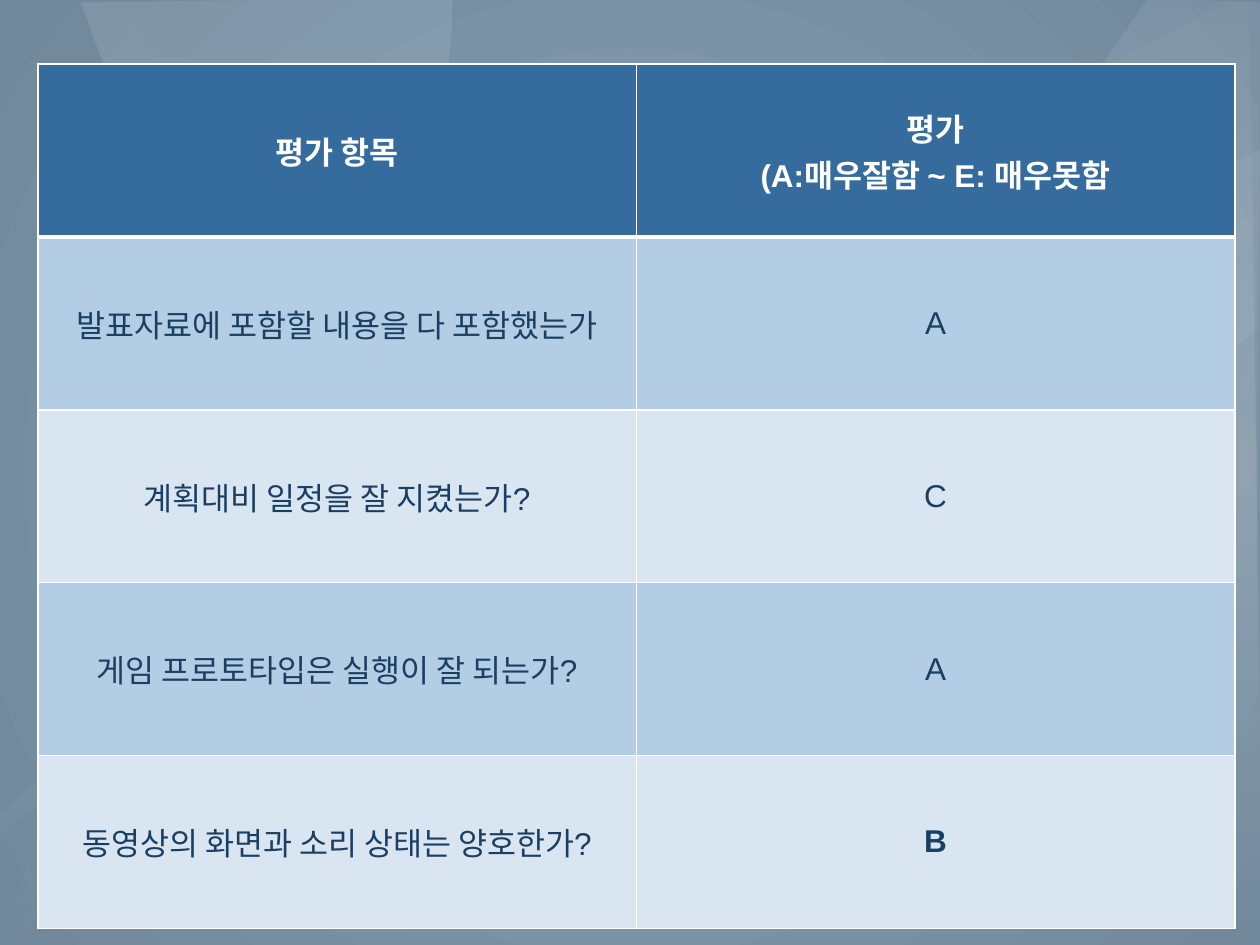
"""Build a peer evaluation slide: a graded table over soft translucent facets."""
import dataclasses

import lxml.etree
import pptx
import pptx.dml.color
import pptx.enum.text
import pptx.oxml
import pptx.oxml.ns
import pptx.util


@dataclasses.dataclass(frozen=True)
class Theme:
    unit: int = pptx.util.Inches(0.1)
    columns: int = 100
    rows: int = 75
    font: str = "Arial"
    size: int = 18
    white: str = "FFFFFF"
    ink: str = "1B3F63"
    header: str = "356B9D"
    bands: tuple = ("B3CDE5", "D9E6F2")
    backdrop: tuple = ((0, "849FB5", 100), (100, "71889B", 100))
    rule: int = 1
    heavy_rule: int = 3


THEME = Theme()

FACETS = [
    ([[(0, 74.4), (4.6, 62.9), (12, 46.9), (20.5, 31.4), (29.5, 17.8), (38.5, 7.2), (47.1, 0)],
      [(100, -0.3), (99.7, 26.1)],
      [(99.7, 26.1), (86.3, 36.8), (69.5, 49.6), (52.3, 61.6), (31.5, 74.6)],
      [(31.5, 74.6), (15.6, 74.7), (2.8, 74.7), (0, 74.4)]],
     [(0, 0), (50, 8), (100, 0)]),
    ([[(-4, 69.3), (4.9, 62.2), (12.6, 54.6), (19, 45.5), (25.1, 35.9), (30.3, 26.3),
       (33.7, 15.7), (35.4, 6), (35.9, -0.2)],
      [(6.4, 0.2), (9.7, 9.8), (12.2, 21.1), (13.2, 31.8), (12.7, 40.1), (10.9, 48.4),
       (7.2, 56.2), (3.1, 61.6), (-1, 65.3), (-3.8, 67.2)]],
     [(0, 8), (50, 15), (100, 0)]),
    ([[(99.2, -0.8), (87.3, 5.7), (76.5, 12.5), (65.8, 20.3), (54.7, 29.8), (44, 40.8),
       (35.9, 51.4), (29.3, 62.9), (25.2, 74.8)],
      [(100.3, 74.2), (99.2, -0.8)]],
     [(0, 1), (50, 14), (100, 0)]),
    ([[(10.2, 0), (15.8, 12.2), (22.4, 27.8), (28.9, 46), (32.6, 59.6), (34.3, 69.3), (34.5, 74.2)],
      [(0, 75), (4.9, 68.7), (10.1, 58.9), (13.5, 46.4), (14.8, 34), (14.1, 25.2),
       (11.6, 13.8), (6.9, 1.2)]],
     [(0, 0), (50, 5), (100, 0)]),
    ([[(66, 74.6), (67.1, 65.1), (69.7, 50.9), (73.5, 36.3), (78.5, 22.3), (84.4, 10), (91, 0)],
      [(100.1, 0.2), (100.5, 75)]],
     [(10, 7), (100, 0)]),
    ([[(99.5, 50.3), (86, 55.7), (71.9, 60.5), (55.6, 65.1), (46.8, 68.4), (41.3, 71.2), (38.4, 73.6)],
      [(32.8, 75), (38.8, 66.2), (46.9, 55.7), (56.9, 44.5), (67.7, 34), (78.6, 25), (90.7, 16.9), (100, 11.8)]],
     [(0, 6), (100, 0)]),
]

HEADINGS = ["평가 항목", "평가\n(A:매우잘함 ~ E: 매우못함"]
RATINGS = [
    ["발표자료에 포함할 내용을 다 포함했는가", "A"],
    ["계획대비 일정을 잘 지켰는가?", "C"],
    ["게임 프로토타입은 실행이 잘 되는가?", "A"],
    ["동영상의 화면과 소리 상태는 양호한가?", "B"],
]


def apply(target, values):
    """Set each named attribute of the target."""
    for name, value in values.items():
        setattr(target, name, value)


def smooth(knots, steps=4):
    """Return points on a Catmull-Rom curve through the knots."""
    padded = [knots[0], *knots, knots[-1]]
    points = [knots[0]]
    for a, b, c, d in zip(padded, padded[1:], padded[2:], padded[3:]):
        for t in (step / steps for step in range(1, steps + 1)):
            points.append(tuple(
                0.5 * (2 * q + (r - p) * t + (2 * p - 5 * q + 4 * r - s) * t ** 2
                       + (3 * q - p - 3 * r + s) * t ** 3)
                for p, q, r, s in zip(a, b, c, d)))
    return points


def paint_gradient(owner, stops, direction):
    """Give the owner's gradient its stops and its direction."""
    gradient = owner.element.find(".//" + pptx.oxml.ns.qn("a:gradFill"))
    for child in list(gradient):
        gradient.remove(child)
    marks = "".join(
        f'<a:gs pos="{place * 1000}"><a:srgbClr val="{color}">'
        f'<a:alpha val="{opacity * 1000}"/></a:srgbClr></a:gs>'
        for place, color, opacity in stops)
    names = pptx.oxml.ns.nsdecls("a")
    gradient.append(pptx.oxml.parse_xml(f"<a:gsLst {names}>{marks}</a:gsLst>"))
    gradient.append(pptx.oxml.parse_xml(direction.format(names=names)))


def paint_backdrop(page):
    """Fill the page with a gradient that spreads from its centre."""
    page.background.fill.gradient()
    paint_gradient(page, THEME.backdrop, (
        '<a:path {names} path="circle">'
        '<a:fillToRect l="50000" t="50000" r="50000" b="50000"/></a:path>'))


def add_facet(page, curves, fades):
    """Draw one translucent facet bounded by smooth curves."""
    points = [(x * THEME.unit, y * THEME.unit) for curve in curves for x, y in smooth(curve)]
    builder = page.shapes.build_freeform(*points[0], scale=1.0)
    builder.add_line_segments(points[1:], close=True)
    facet = builder.convert_to_shape()
    facet.shadow.inherit = False
    facet.line.fill.background()
    facet.fill.gradient()
    paint_gradient(facet, [(place, THEME.white, opacity) for place, opacity in fades],
                   '<a:lin {names} ang="5400000" scaled="0"/>')


def rule_cell(cell, widths):
    """Draw the cell's four borders in white."""
    properties = cell._tc.get_or_add_tcPr()
    for index, (side, width) in enumerate(widths.items()):
        border = pptx.oxml.parse_xml(
            f'<a:ln{side} {pptx.oxml.ns.nsdecls("a")} w="{pptx.util.Pt(width)}">'
            f'<a:solidFill><a:srgbClr val="{THEME.white}"/></a:solidFill></a:ln{side}>')
        properties.insert(index, border)


def fill_cell(cell, text, fill, color, bold):
    """Write centred text in a filled cell."""
    cell.fill.solid()
    cell.fill.fore_color.rgb = pptx.dml.color.RGBColor.from_string(fill)
    cell.vertical_anchor = pptx.enum.text.MSO_ANCHOR.MIDDLE
    cell.text = text
    for para in cell.text_frame.paragraphs:
        para.alignment = pptx.enum.text.PP_ALIGN.CENTER
        for span in para.runs:
            apply(span.font, {"name": THEME.font, "size": pptx.util.Pt(THEME.size), "bold": bold})
            span.font.color.rgb = pptx.dml.color.RGBColor.from_string(color)


def add_ratings(page, left, top, width, height):
    """Add the evaluation table with a heading row and banded ratings."""
    lines = [HEADINGS, *RATINGS]
    box = [round(length * THEME.unit) for length in (left, top, width, height)]
    table = page.shapes.add_table(len(lines), len(HEADINGS), *box).table
    for row, texts in enumerate(lines):
        heading = row == 0
        fill = THEME.header if heading else THEME.bands[(row - 1) % 2]
        widths = {"L": THEME.rule, "R": THEME.rule,
                  "T": THEME.heavy_rule if row == 1 else THEME.rule,
                  "B": THEME.heavy_rule if heading else THEME.rule}
        for column, text in enumerate(texts):
            cell = table.cell(row, column)
            fill_cell(cell, text, fill, THEME.white if heading else THEME.ink,
                      heading or text == "B")
            rule_cell(cell, widths)


def main():
    """Build and save the deck."""
    deck = pptx.Presentation()
    apply(deck, {"slide_width": THEME.columns * THEME.unit,
                 "slide_height": THEME.rows * THEME.unit})
    page = deck.slides.add_slide(deck.slide_layouts[6])
    paint_backdrop(page)
    for curves, fades in FACETS:
        add_facet(page, curves, fades)
    add_ratings(page, left=3, top=5.1, width=95, height=68.6)
    deck.save("out.pptx")


main()
